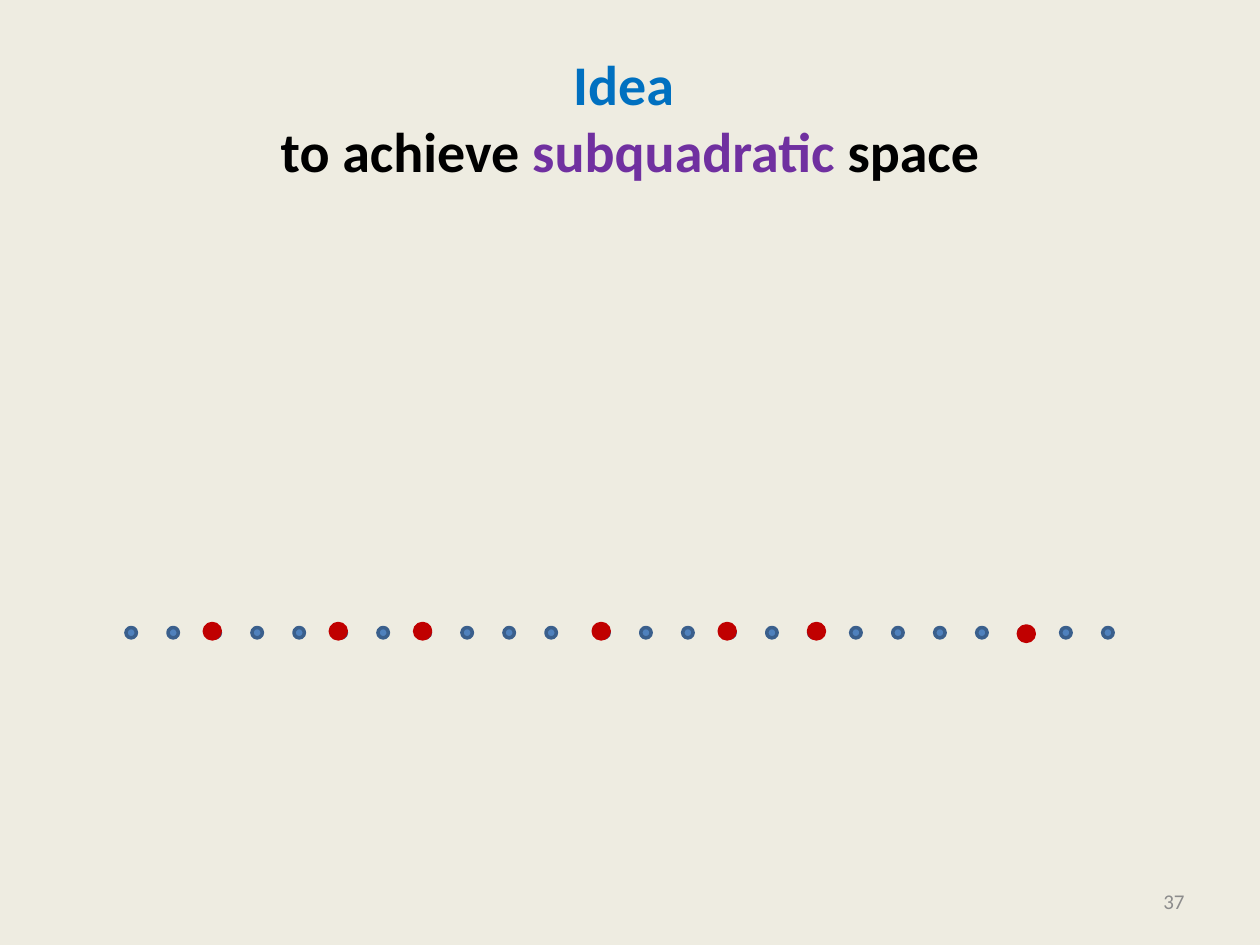
import copy

import pptx
import pptx.dml.color
import pptx.enum.shapes
import pptx.enum.text
import pptx.util

Cm = pptx.util.Cm
Pt = pptx.util.Pt
RGBColor = pptx.dml.color.RGBColor
PP_ALIGN = pptx.enum.text.PP_ALIGN
MIDDLE = pptx.enum.text.MSO_ANCHOR.MIDDLE
OVAL = pptx.enum.shapes.MSO_SHAPE.OVAL

CREAM = RGBColor(0xEE, 0xEC, 0xE1)
BLUE = RGBColor(0x00, 0x70, 0xC0)
BLACK = RGBColor(0x00, 0x00, 0x00)
PURPLE = RGBColor(0x70, 0x30, 0xA0)
GRAY = RGBColor(0x8C, 0x8C, 0x8C)
VERTEX_FILL = RGBColor(0x4F, 0x81, 0xBD)
VERTEX_LINE = RGBColor(0x3A, 0x5F, 0x8C)
RED = RGBColor(0xC0, 0x00, 0x00)

PITCH = 2.54 / 3
VERTEX_SIZE = 0.21
VERTEX_TOP = 12.65
VERTEX_RUNS = [(2.54, 11), (12.07, 13)]
SAMPLE_WIDTH = 0.32
SAMPLE_HEIGHT = 0.31
SAMPLES = [(4.12, 12.57), (6.66, 12.57), (8.36, 12.57), (14.5, 12.57),
           (11.96, 12.57), (16.3, 12.57), (20.53, 12.62)]


class SlideBuilder:
    font_name = "Calibri"

    def __init__(self, presentation):
        self.slide = presentation.slides.add_slide(presentation.slide_layouts[5])
        background = self.slide.background.fill
        background.solid()
        background.fore_color.rgb = CREAM

    def style(self, font, size, color, bold=False):
        font.name = self.font_name
        font.size = Pt(size)
        font.bold = bold
        font.color.rgb = color

    def title(self, lines, left, top, width, height, size):
        heading = self.slide.shapes.title
        heading.left, heading.top = Cm(left), Cm(top)
        heading.width, heading.height = Cm(width), Cm(height)
        heading.text_frame.vertical_anchor = MIDDLE
        paragraph = heading.text_frame.paragraphs[0]
        paragraph.alignment = PP_ALIGN.CENTER
        for index, line in enumerate(lines):
            if index:
                paragraph.add_line_break()
            for words, color in line:
                run = paragraph.add_run()
                run.text = words
                self.style(run.font, size, color, bold=True)
        for line_break in paragraph._p.br_lst:
            line_break.append(copy.deepcopy(run._r.get_or_add_rPr()))

    def page_number(self, number, left, top, width, height):
        box = self.slide.shapes.add_textbox(Cm(left), Cm(top), Cm(width), Cm(height))
        box.text_frame.word_wrap = True
        box.text_frame.vertical_anchor = MIDDLE
        box.text_frame.text = number
        paragraph = box.text_frame.paragraphs[0]
        paragraph.alignment = PP_ALIGN.RIGHT
        self.style(paragraph.runs[0].font, 12, GRAY)

    def dot(self, shapes, left, top, width, height, fill, line):
        dot = shapes.add_shape(OVAL, Cm(left), Cm(top), Cm(width), Cm(height))
        dot.shadow.inherit = False
        dot.fill.solid()
        dot.fill.fore_color.rgb = fill
        dot.line.color.rgb = line
        dot.line.width = Pt(2)

    def vertices(self):
        group = self.slide.shapes.add_group_shape()
        for start, count in VERTEX_RUNS:
            for index in range(count):
                self.dot(group.shapes, start + index * PITCH, VERTEX_TOP,
                         VERTEX_SIZE, VERTEX_SIZE, VERTEX_FILL, VERTEX_LINE)

    def samples(self):
        for left, top in SAMPLES:
            self.dot(self.slide.shapes, left, top, SAMPLE_WIDTH, SAMPLE_HEIGHT, RED, RED)


def main():
    presentation = pptx.Presentation()
    presentation.slide_width = Cm(25.4)
    presentation.slide_height = Cm(19.05)
    builder = SlideBuilder(presentation)
    builder.title(
        [[("Idea ", BLUE)],
         [("to achieve ", BLACK), ("subquadratic ", PURPLE), ("space", BLACK)]],
        1.27, 0.76, 22.86, 3.18, 32)
    builder.page_number("37", 18.2, 17.66, 5.93, 1.01)
    builder.vertices()
    builder.samples()
    presentation.save("out.pptx")


if __name__ == "__main__":
    main()
